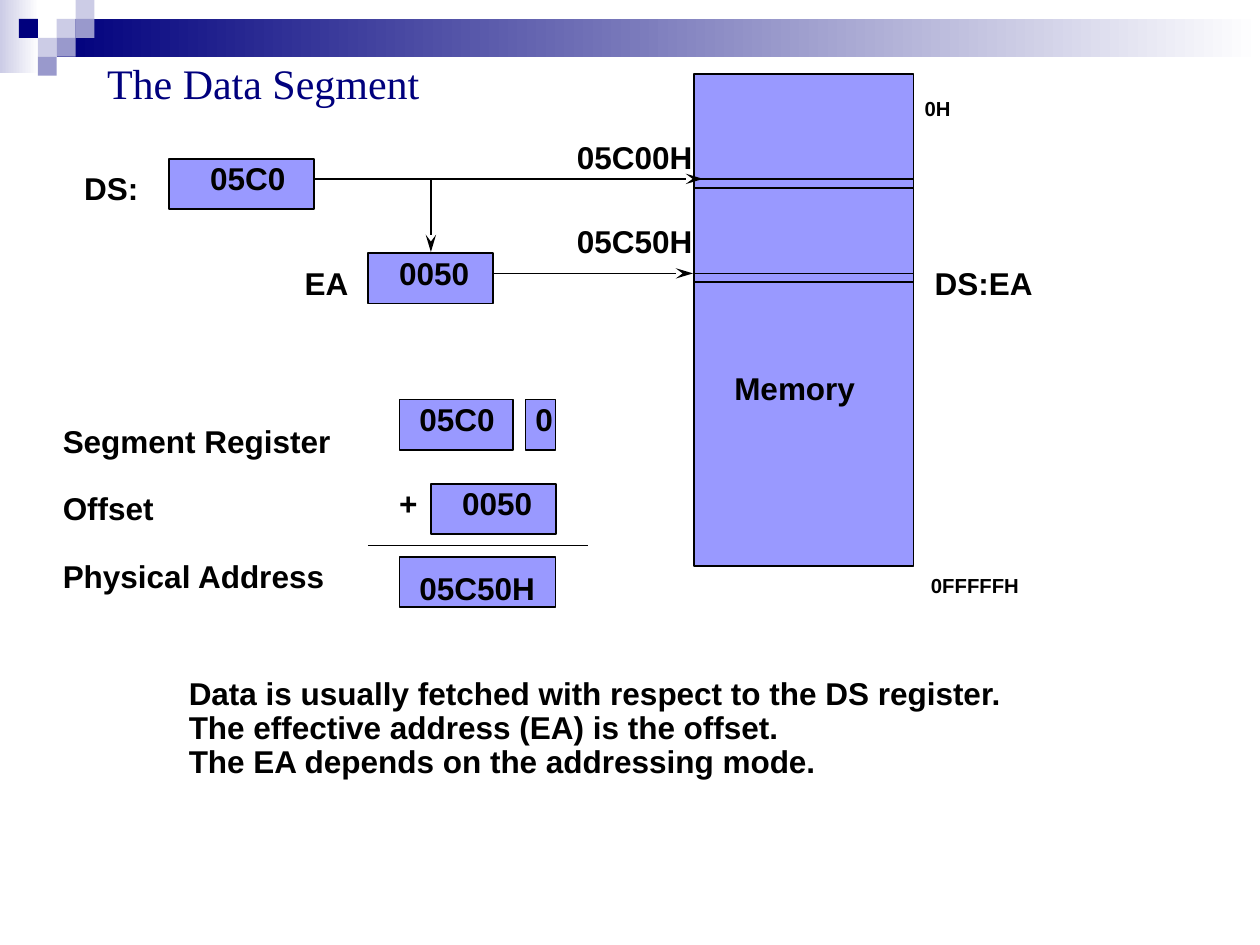
from lxml.etree import SubElement
from pptx import Presentation
from pptx.dml.color import RGBColor
from pptx.enum.shapes import MSO_CONNECTOR as LINK, MSO_SHAPE as SHAPE
from pptx.enum.text import MSO_AUTO_SIZE as FIT, PP_ALIGN as ALIGN
from pptx.oxml.ns import qn
from pptx.util import Inches, Pt

NAVY, LILAC, GREY_BLUE = "00007D", "CCCCE6", "9999CC"
WHITE, BLACK, BOX_FILL = "FFFFFF", "000000", "9999FF"
BOX_HEIGHT = 0.4


def paint(target, colour):
    """Give a fill or a font a solid hex colour."""
    if hasattr(target, "solid"):
        target.solid()
        target.fore_color.rgb = RGBColor.from_string(colour)
    else:
        target.color.rgb = RGBColor.from_string(colour)


def add_rect(shapes, left, top, width, height, colour, outlined=False):
    """Add a flat rectangle, with a thin black outline on request."""
    rect = shapes.add_shape(SHAPE.RECTANGLE, Inches(left), Inches(top), Inches(width), Inches(height))
    rect.shadow.inherit = False
    paint(rect.fill, colour)
    if outlined:
        paint(rect.line.fill, BLACK)
        rect.line.width = Pt(1)
    else:
        rect.line.fill.background()
    return rect


def add_fade(shapes, left, top, width, height, colour):
    """Add a band that fades from a colour on its left to white."""
    fade = add_rect(shapes, left, top, width, height, colour).fill
    fade.gradient()
    fade.gradient_angle = 180
    for stop, shade in zip(fade.gradient_stops, (WHITE, colour)):
        paint(stop, shade)


def add_label(shapes, left, top, width, height, *lines, size=18, gap=0, subscript=False):
    """Add bold lines of text in a box that fits them."""
    label = shapes.add_textbox(Inches(left), Inches(top), Inches(width), Inches(height))
    frame = label.text_frame
    frame.word_wrap = False
    frame.auto_size = FIT.SHAPE_TO_FIT_TEXT
    frame.text = "\n".join(lines)
    for index, line in enumerate(frame.paragraphs):
        line.line_spacing = 0.9
        line.space_before = Pt(gap if index else 0)
        line.font.size, line.font.name, line.font.bold = Pt(size), "Arial", True
        paint(line.font, BLACK)
        if subscript:
            line.runs[0].font._element.set("baseline", "-25000")


def add_line(shapes, x1, y1, x2, y2, arrow=True):
    """Add a thin black line, ending in an arrowhead unless told otherwise."""
    line = shapes.add_connector(LINK.STRAIGHT, Inches(x1), Inches(y1), Inches(x2), Inches(y2))
    paint(line.line.fill, BLACK)
    line.line.width = Pt(1)
    if arrow:
        SubElement(line.line._get_or_add_ln(), qn("a:tailEnd"), type="stealth", w="med", len="lg")
    SubElement(line._element.spPr, qn("a:effectLst"))


def add_value(shapes, left, top, width, text, indent, text_width, drop=-0.01):
    """Add a register box with its value."""
    add_rect(shapes, left, top, width, BOX_HEIGHT, BOX_FILL, outlined=True)
    add_label(shapes, left + indent, top + drop, text_width, 0.37, text)


def add_banner(shapes, left, top):
    """Add the faded bands and the checker of small squares."""
    add_fade(shapes, left, top, 0.31, 0.58, LILAC)
    add_fade(shapes, left + 0.45, top + 0.15, 9.55, 0.3, NAVY)
    side = 0.15
    checker = [(3, 1, LILAC), (4, 0, LILAC), (4, 1, GREY_BLUE), (2, 2, LILAC),
               (1, 1, NAVY), (3, 2, GREY_BLUE), (2, 3, GREY_BLUE)]
    for column, row, colour in checker:
        add_rect(shapes, left + column * side, top + row * side, side, side, colour)


def add_title(shapes, left, top, text):
    """Add the slide title on one line."""
    frame = shapes.add_textbox(Inches(left), Inches(top), Inches(2.72), Inches(0.46)).text_frame
    frame.word_wrap = False
    frame.auto_size = FIT.NONE
    frame.margin_left = frame.margin_right = Inches(0.07)
    frame.margin_top = frame.margin_bottom = Inches(0.03)
    title = frame.paragraphs[0]
    title.text = text
    title.alignment = ALIGN.CENTER
    title.font.size, title.font.name = Pt(24), "Times New Roman"
    paint(title.font, NAVY)


def add_memory(shapes, left, top):
    """Add the memory column with its two marked cells and address labels."""
    width = 1.74
    add_rect(shapes, left, top, width, 3.9, BOX_FILL, outlined=True)
    for cell_top in (0.83, 1.58):
        add_rect(shapes, left, top + cell_top, width, 0.07, BOX_FILL, outlined=True)
    add_label(shapes, left + 0.22, top + 2.32, 1.16, 0.37, "Memory")
    add_label(shapes, left + 1.81, top + 1.49, 0.98, 0.37, "DS:EA")
    add_label(shapes, left + 1.73, top - 0.06, 0.41, 0.44, "0H", size=20, subscript=True)
    add_label(shapes, left + 1.78, top + 3.73, 0.9, 0.44, "0FFFFFH", size=20, subscript=True)


def add_registers(shapes, left, top):
    """Add the DS and EA registers and their arrows into memory."""
    add_label(shapes, left, top + 0.07, 0.63, 0.37, "DS:")
    add_value(shapes, left + 0.77, top, 1.15, "05C0", 0.23, 0.8)
    add_label(shapes, left + 1.75, top + 0.82, 0.55, 0.37, "EA")
    add_value(shapes, left + 2.35, top + 0.75, 0.99, "0050", 0.15, 0.76)
    add_line(shapes, left + 1.93, top + 0.16, left + 5.01, top + 0.16)
    add_line(shapes, left + 2.85, top + 0.16, left + 2.85, top + 0.74)
    add_line(shapes, left + 3.35, top + 0.91, left + 4.93, top + 0.91)
    for row, address in enumerate(("05C00H", "05C50H")):
        add_label(shapes, left + 3.91, top - 0.18 + row * 0.67, 1.12, 0.37, address)


def add_sum(shapes, left, top):
    """Add the physical address worked out from segment and offset."""
    add_label(shapes, left, top + 0.16, 2.33, 1.45,
              "Segment Register", "Offset", "Physical Address", gap=19.4)
    add_value(shapes, left + 2.77, top, 0.9, "05C0", 0.06, 0.8)
    add_value(shapes, left + 3.77, top, 0.24, "0", -0.02, 0.34)
    add_label(shapes, left + 2.67, top + 0.66, 0.35, 0.37, "+")
    add_value(shapes, left + 3.02, top + 0.67, 0.99, "0050", 0.15, 0.76)
    add_line(shapes, left + 2.52, top + 1.16, left + 4.27, top + 1.16, arrow=False)
    add_value(shapes, left + 2.77, top + 1.25, 1.24, "05C50H", 0.06, 1.12, drop=0.08)


def build():
    """Build the slide and save it."""
    deck = Presentation()
    deck.slide_width, deck.slide_height = Inches(10), Inches(7.5)
    shapes = deck.slides.add_slide(deck.slide_layouts[6]).shapes
    add_banner(shapes, 0, 0)
    add_title(shapes, 0.73, 0.43, "The Data Segment")
    add_memory(shapes, 5.51, 0.59)
    add_registers(shapes, 0.57, 1.26)
    add_sum(shapes, 0.4, 3.17)
    add_label(shapes, 1.4, 5.33, 6.66, 0.91,
              "Data is usually fetched with respect to the DS register.",
              "The effective address (EA) is the offset.",
              "The EA depends on the addressing mode.")
    deck.save("out.pptx")


build()
